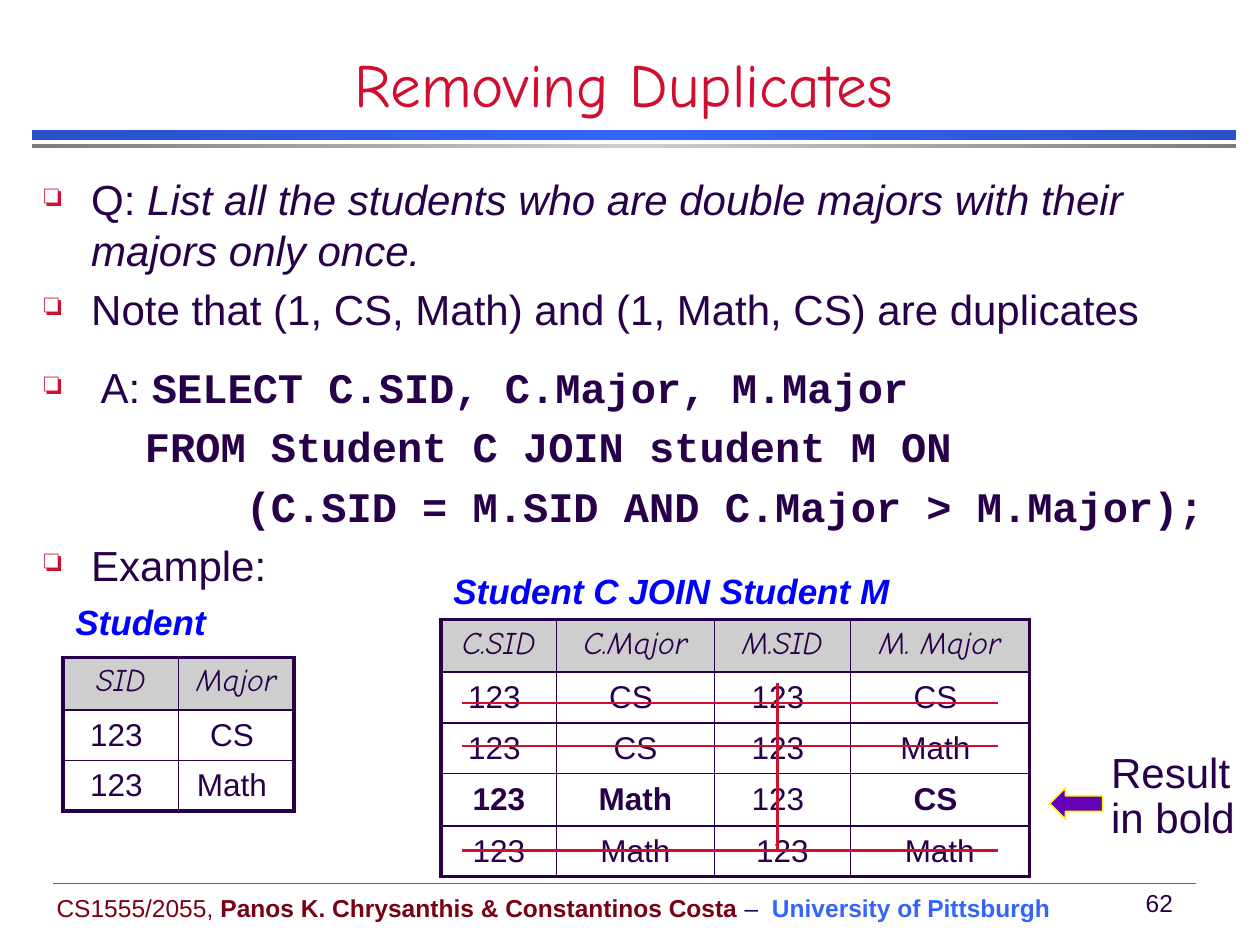
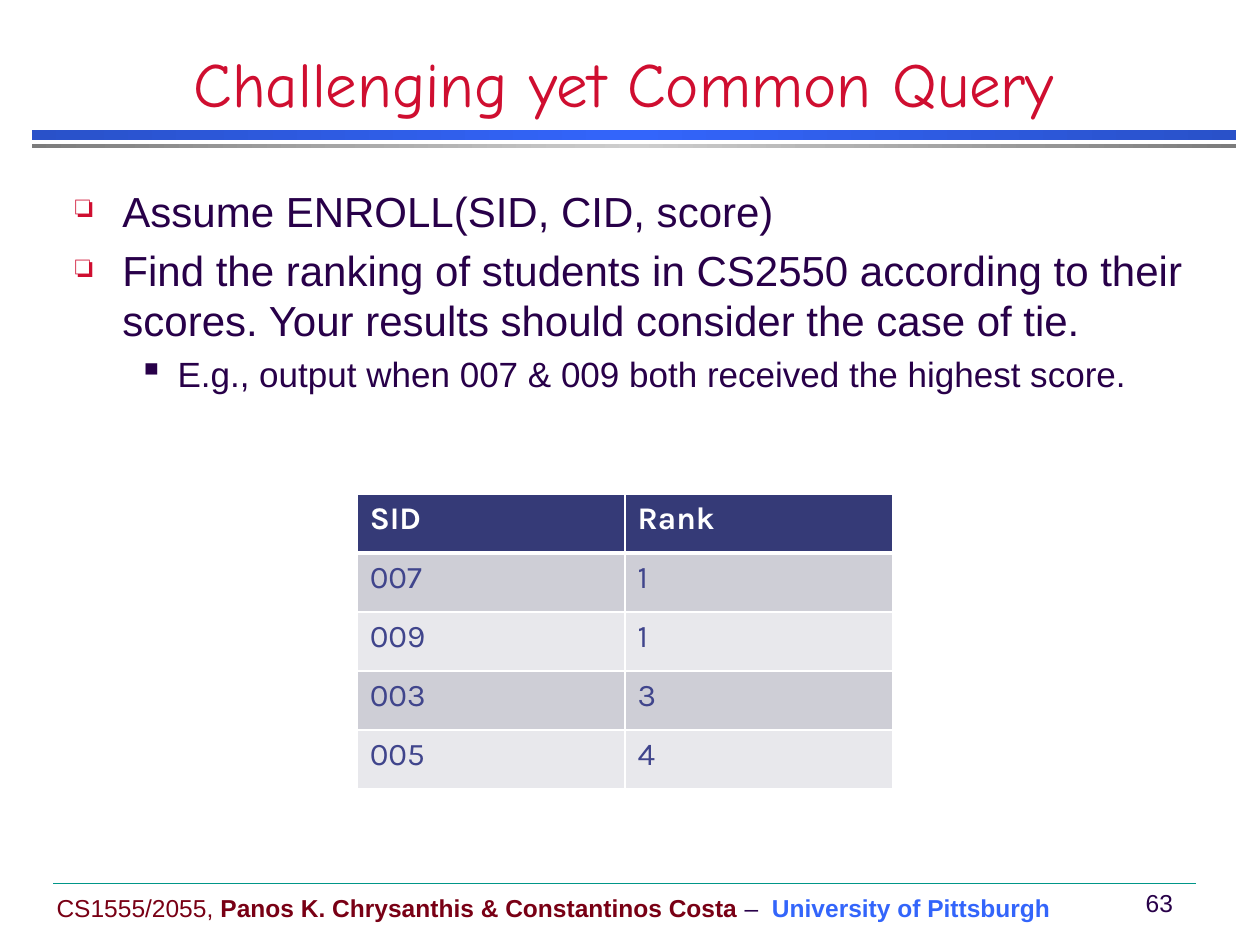
from pptx import Presentation, oxml
from pptx.dml.color import RGBColor
from pptx.enum import shapes, text
from pptx.oxml import ns
from pptx.util import Cm, Pt

# Colours
WHITE = RGBColor(0xFF, 0xFF, 0xFF)
INK = RGBColor(0x28, 0x00, 0x49)
RED = RGBColor(0xCF, 0x0E, 0x30)
MAROON = RGBColor(0x79, 0x00, 0x15)
BLUE = RGBColor(0x33, 0x65, 0xFB)
DEEP_BLUE = RGBColor(0x29, 0x51, 0xC9)
LABEL_BLUE = RGBColor(0x00, 0x00, 0xFF)
SILVER = RGBColor(0xCE, 0xCE, 0xCE)
GREY = RGBColor(0x7C, 0x7C, 0x7C)
TEAL = RGBColor(0x00, 0x96, 0x88)
PURPLE = RGBColor(0x64, 0x00, 0xB6)
YELLOW = RGBColor(0xFF, 0xFF, 0x00)
NAVY = RGBColor(0x35, 0x3A, 0x77)
INDIGO = RGBColor(0x40, 0x45, 0x8C)
BANDS = (RGBColor(0xCE, 0xCE, 0xD6), RGBColor(0xE8, 0xE8, 0xEC))

# Fonts
BODY_FONT = "Arial"
TITLE_FONT = "Comic Neue"
CODE_FONT = "Courier New"
RANK_FONT = "Karla"

CENTER = text.PP_ALIGN.CENTER
MIDDLE = text.MSO_ANCHOR.MIDDLE
CODE = {"font": CODE_FONT, "bold": True}

# Bullet levels: sign, colour, size in percent, left margin, hanging indent
BULLETS = (("❏", RED, 75, 0.95, 0.95), ("▪", INK, 100, 2.06, 0.79))


def xml(source):
    return oxml.parse_xml(source.replace(">", f" {ns.nsdecls('a')}>", 1))


def add_span(para, words, font=BODY_FONT, size=24, color=INK, bold=False, italic=False):
    span = para.add_run()
    span.text = words
    span.font.name = font
    span.font.size = Pt(size)
    span.font.color.rgb = color
    span.font.bold = bold
    span.font.italic = italic


def add_box(page, left, top, width, height, anchor=text.MSO_ANCHOR.TOP):
    box = page.shapes.add_textbox(Cm(left), Cm(top), Cm(width), Cm(height))
    box.text_frame.word_wrap = True
    box.text_frame.vertical_anchor = anchor
    return box.text_frame


def add_label(page, words, left, top, width, height, align=None, anchor=text.MSO_ANCHOR.TOP,
              spacing=None, **style):
    para = add_box(page, left, top, width, height, anchor).paragraphs[0]
    para.alignment = align
    para.line_spacing = spacing
    add_span(para, words, **style)


def set_indent(para, level, bulleted):
    sign, color, percent, margin, hanging = BULLETS[level]
    props = para._p.get_or_add_pPr()
    props.set("marL", str(Cm(margin)))
    props.set("indent", str(-Cm(hanging)))
    if not bulleted:
        props.append(xml("<a:buNone></a:buNone>"))
        return
    props.append(xml(f'<a:buClr><a:srgbClr val="{color}"/></a:buClr>'))
    props.append(xml(f'<a:buSzPct val="{percent * 1000}"></a:buSzPct>'))
    props.append(xml(f'<a:buChar char="{sign}"></a:buChar>'))


def add_point(frame, *spans, level=0, bulleted=True, before=5):
    """Add one paragraph to a body; each span is a (words, style) pair."""
    first = not frame.paragraphs[0].runs
    para = frame.paragraphs[0] if first else frame.add_paragraph()
    set_indent(para, level, bulleted)
    if not first:
        para.space_before = Pt(before)
    for words, style in spans:
        add_span(para, words, **style)


def add_line(page, x1, y1, x2, y2, color, width):
    line = page.shapes.add_connector(shapes.MSO_CONNECTOR.STRAIGHT,
                                     Cm(x1), Cm(y1), Cm(x2), Cm(y2))
    line.line.color.rgb = color
    line.line.width = Pt(width)
    line._element.spPr.append(xml("<a:effectLst></a:effectLst>"))


def add_shape(page, kind, left, top, width, height):
    shape = page.shapes.add_shape(kind, Cm(left), Cm(top), Cm(width), Cm(height))
    shape.shadow.inherit = False
    return shape


def add_gradient_bar(page, top, height, edge, center):
    bar = add_shape(page, shapes.MSO_SHAPE.RECTANGLE, 0.64, top, 24.28, height)
    bar.line.fill.background()
    stops = "".join(f'<a:gs pos="{place}000"><a:srgbClr val="{color}"/></a:gs>'
                    for place, color in ((0, edge), (50, center), (100, edge)))
    bar._element.spPr.insert(2, xml(
        f'<a:gradFill><a:gsLst>{stops}</a:gsLst><a:lin ang="0"/></a:gradFill>'))


def set_borders(cell, color, **widths):
    """Draw the four edges of a cell; widths are given as L, R, T and B."""
    for place, side in enumerate("LRTB"):
        cell._tc.get_or_add_tcPr().insert(place, xml(
            f'<a:ln{side} w="{Pt(widths[side])}"><a:solidFill>'
            f'<a:srgbClr val="{color}"/></a:solidFill></a:ln{side}>'))


def add_table(page, left, top, columns, heights, rows, format_cell):
    """Add a table; format_cell fills and borders a cell and returns its text style."""
    table = page.shapes.add_table(len(rows), len(columns), Cm(left), Cm(top),
                                  Cm(sum(columns)), Cm(sum(heights))).table
    table.first_row = table.horz_banding = False
    for column, width in zip(table.columns, columns):
        column.width = Cm(width)
    for row, height in zip(table.rows, heights):
        row.height = Cm(height)
    for r, row in enumerate(rows):
        for c, words in enumerate(row):
            cell = table.cell(r, c)
            style = format_cell(cell, r, c, len(rows) - 1, len(columns) - 1)
            add_span(cell.text_frame.paragraphs[0], words, size=18, **style)


def format_framed(cell, r, c, last_row, last_column):
    """Grey italic header, plain rows, thick outer frame."""
    thick, thin = 2.25, 1
    set_borders(cell, INK, L=thin if c else thick, R=thick if c == last_column else thin,
                T=thin if r else thick, B=thick if r == last_row else thin)
    cell.text_frame.paragraphs[0].alignment = CENTER
    if r == 0:
        cell.fill.solid()
        cell.fill.fore_color.rgb = SILVER
        return {"font": TITLE_FONT, "italic": True}
    cell.fill.background()
    cell.vertical_anchor = MIDDLE
    in_result = r == 3 and c != 2
    return {"bold": in_result}


def format_banded(cell, r, c, last_row, last_column):
    """Navy header over alternating rows, white rules."""
    set_borders(cell, WHITE, L=1, R=1, T=3 if r == 1 else 1, B=1 if r else 3)
    cell.fill.solid()
    cell.fill.fore_color.rgb = BANDS[(r - 1) % 2] if r else NAVY
    return {"font": RANK_FONT, "color": INDIGO if r else WHITE, "bold": r == 0}


def add_page(deck, title, number, title_size):
    """Add a page with the shared bars, footer and title."""
    page = deck.slides.add_slide(deck.slide_layouts[6])
    add_gradient_bar(page, 2.62, 0.2, DEEP_BLUE, BLUE)
    add_gradient_bar(page, 2.9, 0.08, GREY, SILVER)

    footer = add_box(page, 0.89, 17.87, 20.6, 0.85, MIDDLE).paragraphs[0]
    add_span(footer, "CS1555/2055, ", size=14, color=MAROON)
    add_span(footer, "Panos K. Chrysanthis & Constantinos Costa",
             size=14, color=MAROON, bold=True)
    add_span(footer, " –  ", size=14)
    add_span(footer, "University of Pittsburgh", size=14, color=BLUE, bold=True)
    add_label(page, f" {number}", 22.68, 17.78, 1.25, 0.84, CENTER, MIDDLE, size=14)
    add_line(page, 1.07, 17.8, 24.1, 17.8, TEAL, 0.25)

    add_label(page, title, 0, 1.07, 25.15, 1.47, CENTER, text.MSO_ANCHOR.BOTTOM,
              font=TITLE_FONT, size=title_size, color=RED)
    return page


def build_duplicates(deck):
    page = add_page(deck, "Removing Duplicates", 62, 35)

    # Question and query
    body = add_box(page, 0.64, 3.38, 24.3, 9.09)
    add_point(body, ("Q: ", {}),
              ("List all the students who are double majors with their majors only once.",
               {"italic": True}))
    add_point(body, ("Note that (1, CS, Math) and (1, Math, CS) are duplicates", {}))
    add_point(body, (" A: ", {}), ("SELECT C.SID, C.Major, M.Major", CODE), before=16)
    add_point(body, ("    FROM Student C JOIN student M ON", CODE), bulleted=False)
    add_point(body, ("        (C.SID = M.SID AND C.Major > M.Major);", CODE), bulleted=False)
    add_point(body, ("Example:", {}))

    # Student table and its self-join
    add_table(page, 1.27, 13.25, (2.33, 2.33), (1.06, 1.02, 1.02),
              (("SID", "Major"), ("123 ", "CS "), ("123 ", "Math ")), format_framed)
    add_table(page, 8.89, 12.49, (2.33, 3.18, 2.74, 3.61), (1.06, 1.02, 1.02, 1.06, 1.02),
              (("C.SID", "C.Major", "M.SID", "M. Major"),
               ("123 ", "CS ", "123 ", "CS "),
               ("123 ", "CS", "123 ", "Math "),
               ("123", "Math", "123 ", "CS "),
               ("123", "Math", "123", "Math")), format_framed)
    for words, left, top, width in (("Student", 1.27, 12.07, 5.08),
                                    ("Student C JOIN Student M", 8.89, 11.46, 11.63)):
        add_label(page, words, left, top, width, 1.04, spacing=0.9,
                  size=20, color=LABEL_BLUE, bold=True, italic=True)

    # Struck-out rows and column
    for y in (14.17, 15.04, 17.15):
        add_line(page, 9.32, y, 20.12, y, RED, 1.5)
    add_line(page, 15.67, 13.77, 15.67, 17.15, RED, 1.5)

    # Pointer to the result
    add_label(page, "Result in bold", 22.15, 15.04, 3.25, 2.13, spacing=0.9)
    arrow = add_shape(page, shapes.MSO_SHAPE.LEFT_ARROW, 21.16, 15.88, 1.07, 0.64)
    arrow.fill.solid()
    arrow.fill.fore_color.rgb = PURPLE
    arrow.line.color.rgb = YELLOW
    arrow.line.width = Pt(1)


def build_ranking(deck):
    page = add_page(deck, "Challenging yet Common Query", 63, 36)

    # Task
    body = add_box(page, 1.27, 3.61, 23.5, 11.43)
    add_point(body, ("Assume ENROLL(SID, CID, score)", {}))
    add_point(body, ("Find the ranking of students in CS2550 according to their scores. "
                     "Your results should consider the case of tie.", {}))
    add_point(body, ("E.g., output when 007 & 009 both received the highest score.",
                     {"size": 20}), level=1, before=4)

    # Expected output
    add_table(page, 7.2, 9.96, (5.4, 5.4), (1.19,) * 5,
              (("SID", "Rank"), ("007", "1"), ("009", "1"), ("003", "3"), ("005", "4")),
              format_banded)


def main():
    deck = Presentation()
    deck.slide_width, deck.slide_height = Cm(25.4), Cm(19.05)
    build_duplicates(deck)
    build_ranking(deck)
    deck.save("out.pptx")


if __name__ == "__main__":
    main()
